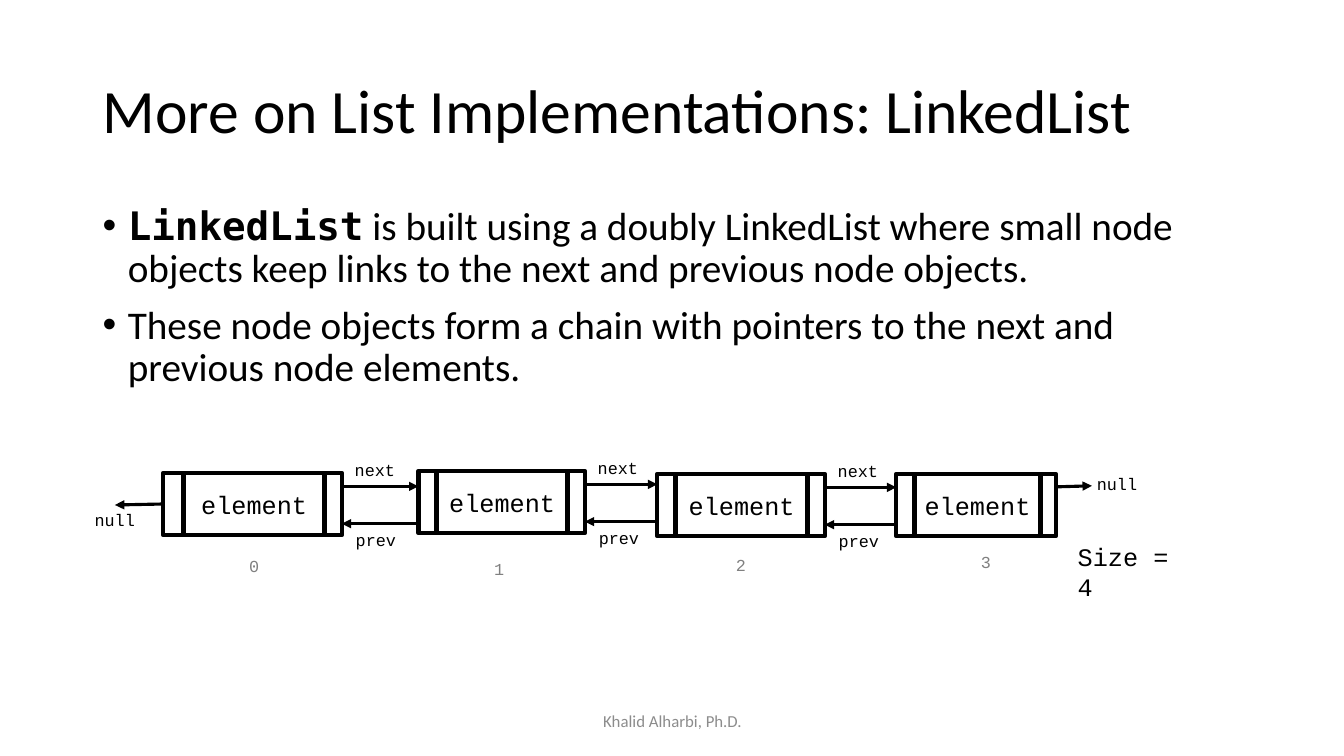
from dataclasses import dataclass

from lxml import etree
from pptx import Presentation
from pptx.dml.color import RGBColor
from pptx.enum.shapes import MSO_CONNECTOR, MSO_SHAPE
from pptx.enum.text import MSO_ANCHOR, PP_ALIGN
from pptx.oxml.ns import qn
from pptx.shapes.autoshape import Shape
from pptx.shapes.connector import Connector
from pptx.text.text import _Paragraph
from pptx.util import Inches, Length, Pt

LINE = MSO_CONNECTOR.STRAIGHT
RECT = MSO_SHAPE.RECTANGLE
TOP, MIDDLE = MSO_ANCHOR.TOP, MSO_ANCHOR.MIDDLE
LEFT, CENTER = PP_ALIGN.LEFT, PP_ALIGN.CENTER
LEFT_SIDE = 1
CELL = 0.1  # inches per grid column and row


@dataclass(frozen=True)
class Theme:
    ink: RGBColor = RGBColor(0, 0, 0)
    gray: RGBColor = RGBColor(0x80, 0x80, 0x80)
    pale: RGBColor = RGBColor(0x8C, 0x8C, 0x8C)
    sans: str = "Calibri"
    mono: str = "Courier New"
    code: str = "DejaVu Sans Mono"
    title: float = 44
    body: float = 28
    node: float = 18
    label: float = 12
    frame: float = 3
    arrow: float = 2.25


@dataclass(frozen=True)
class Box:
    """A place on the grid, in columns and rows."""
    col: float
    row: float
    wide: float
    high: float


@dataclass(frozen=True)
class Node:
    col: float
    row: float
    wide: float
    inner: float
    inset: float
    mark_col: float
    mark_row: float

    @property
    def end(self) -> float:
        return self.col + self.wide


@dataclass(frozen=True)
class Label:
    text: str
    box: Box
    font: str
    size: float
    color: RGBColor
    align: PP_ALIGN = LEFT
    anchor: MSO_ANCHOR = TOP
    space: float = 1.0


THEME = Theme()
HIGH = 6.2
NODES = [
    Node(16.2, 46.9, 17.7, 14.0, 2.0, 22.2, 54.6),
    Node(41.5, 46.7, 16.5, 13.0, 1.8, 46.5, 54.9),
    Node(65.2, 47.0, 16.6, 13.1, 1.8, 70.5, 54.5),
    Node(88.9, 47.0, 15.8, 12.5, 1.8, 94.8, 54.2),
]
POINTS = [
    [("LinkedList", True),
     (" is built using a doubly LinkedList where small node objects keep "
      "links to the next and previous node objects.", False)],
    [("These node objects form a chain with pointers to the next and "
      "previous node elements.", False)],
]

deck = Presentation()
deck.slide_width, deck.slide_height = Inches(13.33), Inches(7.5)
slide = deck.slides.add_slide(deck.slide_layouts[6])


def cells(*counts: float) -> list[Length]:
    return [Inches(count * CELL) for count in counts]


def place(box: Box) -> list[Length]:
    return cells(box.col, box.row, box.wide, box.high)


def style(para: _Paragraph, font: str, size: float, color: RGBColor) -> None:
    para.font.name = font
    para.font.size = Pt(size)
    para.font.color.rgb = color


def add_label(label: Label) -> None:
    frame = slide.shapes.add_textbox(*place(label.box)).text_frame
    frame.word_wrap = True
    frame.vertical_anchor = label.anchor
    para = frame.paragraphs[0]
    para.text = label.text
    para.alignment = label.align
    para.line_spacing = label.space
    style(para, label.font, label.size, label.color)


def add_tag(text: str, col: float, row: float, wide: float) -> None:
    """Write a small pointer name in the diagram."""
    add_label(Label(text, Box(col, row, wide, 3), THEME.mono, THEME.label, THEME.ink))


def add_body(box: Box) -> None:
    frame = slide.shapes.add_textbox(*place(box)).text_frame
    frame.word_wrap = True
    for index, point in enumerate(POINTS):
        para = frame.add_paragraph() if index else frame.paragraphs[0]
        para.line_spacing = 0.9
        para.space_before = Pt(10 if index else 0)
        props = para._p.get_or_add_pPr()
        props.set("marL", str(Inches(0.25)))
        props.set("indent", str(-Inches(0.25)))
        etree.SubElement(props, qn("a:buFont")).set("typeface", "Arial")
        etree.SubElement(props, qn("a:buChar")).set("char", "•")
        style(para, THEME.sans, THEME.body, THEME.ink)
        for text, code in point:
            run = para.add_run()
            run.text = text
            if code:
                run.font.name = THEME.code
                run.font.bold = True


def add_frame(box: Box) -> Shape:
    shape = slide.shapes.add_shape(RECT, *place(box))
    shape.shadow.inherit = False
    shape.fill.background()
    shape.line.color.rgb = THEME.ink
    shape.line.width = Pt(THEME.frame)
    return shape


def add_arrow(col: float, row: float, to_col: float, to_row: float) -> Connector:
    arrow = slide.shapes.add_connector(LINE, *cells(col, row, to_col, to_row))
    arrow.line.color.rgb = THEME.ink
    arrow.line.width = Pt(THEME.arrow)
    etree.SubElement(arrow.line._get_or_add_ln(), qn("a:tailEnd")).set("type", "triangle")
    etree.SubElement(arrow._element.spPr, qn("a:effectLst"))
    return arrow


def add_node(node: Node) -> Shape:
    """Draw the element cell and its outer frame, and return the frame."""
    inner = add_frame(Box(node.col + node.inset, node.row, node.inner, HIGH))
    inner.text_frame.word_wrap = False
    inner.text_frame.vertical_anchor = MIDDLE
    para = inner.text_frame.paragraphs[0]
    para.text = "element"
    para.alignment = CENTER
    style(para, THEME.mono, THEME.node, THEME.ink)
    return add_frame(Box(node.col, node.row, node.wide, HIGH))


def add_links(node: Node, after: Node) -> None:
    gap = after.col - node.end
    ahead, back = node.row + 1.35, node.row + 5.05
    add_arrow(node.end, ahead, after.col, ahead)
    add_tag("next", node.end + 0.3, node.row - 1.8, gap)
    add_arrow(after.col, back, node.end, back)
    add_tag("prev", node.end + 0.4, node.row + 5.2, gap)


def add_chain() -> None:
    frames = [add_node(node) for node in NODES]
    for node, after in zip(NODES, NODES[1:]):
        add_links(node, after)
    for index, node in enumerate(NODES):
        add_label(Label(str(index), Box(node.mark_col, node.mark_row, 6, 3),
                        THEME.mono, THEME.label, THEME.gray, CENTER))
    last = NODES[-1]
    add_arrow(last.end, last.row + 1.3, last.end + 3.6, last.row + 1.2)
    add_tag("null", last.end + 3.1, last.row - 0.5, 6.6)
    add_tag("null", 8.4, 50.1, 6)
    add_arrow(16.2, 50, 11.4, 50.1).begin_connect(frames[0], LEFT_SIDE)


add_label(Label("More on List Implementations: LinkedList", Box(9.2, 4, 115, 14.5),
                THEME.sans, THEME.title, THEME.ink, anchor=MIDDLE, space=0.9))
add_body(Box(9.2, 20, 115, 47.6))
add_label(Label("Khalid Alharbi, Ph.D.", Box(44.2, 69.5, 45, 4),
                THEME.sans, THEME.label, THEME.pale, CENTER, MIDDLE))
add_label(Label("Size = 4", Box(105.9, 53.2, 12.2, 4), THEME.mono, THEME.node, THEME.ink))
add_chain()
deck.save("out.pptx")
